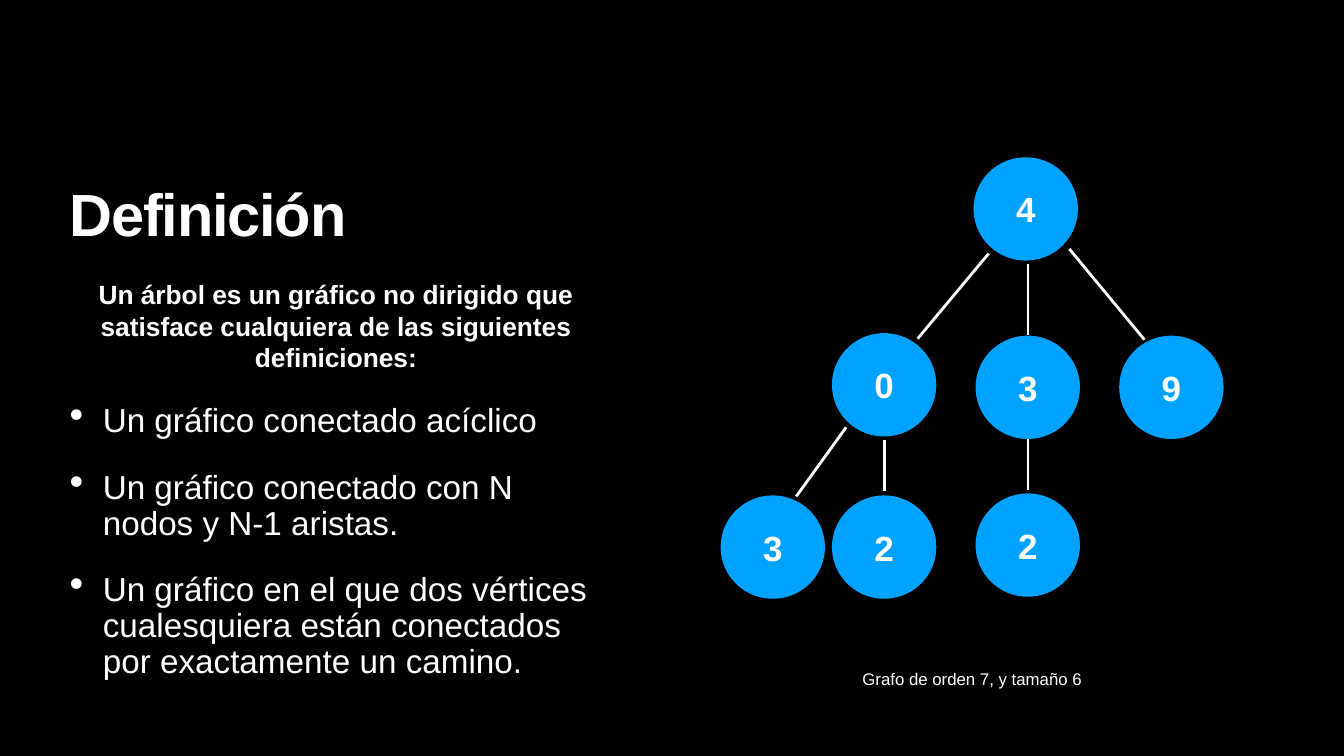
from lxml import etree
from pptx import Presentation
from pptx.dml.color import RGBColor
from pptx.enum import shapes, text
from pptx.oxml import ns
from pptx.util import Inches, Pt

BLACK = RGBColor(0x00, 0x00, 0x00)
WHITE = RGBColor(0xFF, 0xFF, 0xFF)
BLUE = RGBColor(0x00, 0xA2, 0xFF)
CENTER = text.PP_ALIGN.CENTER
TOP, MIDDLE, BOTTOM = (text.MSO_ANCHOR.TOP, text.MSO_ANCHOR.MIDDLE,
                       text.MSO_ANCHOR.BOTTOM)

TITLE = "Definición"
INTRO = ("Un árbol es un gráfico no dirigido que satisface cualquiera "
         "de las siguientes definiciones:")
DEFINITIONS = [
    "Un gráfico conectado acíclico",
    "Un gráfico conectado con N nodos y N-1 aristas.",
    "Un gráfico en el que dos vértices cualesquiera están conectados "
    "por exactamente un camino.",
]
CAPTION = "Grafo de orden 7, y tamaño 6"
NODES = [
    ("4", 19.32, 3.12),
    ("0", 16.51, 6.61),
    ("3", 19.36, 6.66),
    ("9", 22.21, 6.66),
    ("3", 14.3, 9.83),
    ("2", 16.51, 9.83),
    ("2", 19.36, 9.79),
]
EDGES = [
    (18.21, 6.72, 19.62, 5.03),
    (20.4, 6.64, 20.4, 5.23),
    (22.71, 6.74, 21.22, 4.94),
    (15.8, 9.85, 16.79, 8.48),
    (17.55, 9.75, 17.55, 8.74),
    (20.4, 9.72, 20.4, 8.7),
]
NODE_W, NODE_H = 2.07, 2.05
LEFT, COLUMN_W = 1.32, 10.69


def write(tf, content, size, bold=False, align=None, line=None, before=0,
          spacing=None, bullet=False):
    p = tf.paragraphs[0]
    if p.runs:
        p = tf.add_paragraph()
    p.alignment = align or text.PP_ALIGN.LEFT
    p.line_spacing = line
    p.space_before = Pt(before)
    r = p.add_run()
    r.text = content
    r.font.name = "Arial"
    r.font.size = Pt(size)
    r.font.bold = bold
    r.font.color.rgb = WHITE
    if spacing:
        r.font._element.set("spc", str(spacing))
    if bullet:
        pr = p._p.get_or_add_pPr()
        indent = Inches(0.66)
        pr.set("marL", str(indent))
        pr.set("indent", str(-indent))
        etree.SubElement(pr, ns.qn("a:buSzPct")).set("val", "123000")
        etree.SubElement(pr, ns.qn("a:buChar")).set("char", "•")


def frame(sp, anchor, wrap=True):
    tf = sp.text_frame
    tf.word_wrap = wrap
    tf.vertical_anchor = anchor
    tf.margin_left = tf.margin_right = Inches(0.06)
    tf.margin_top = tf.margin_bottom = Inches(0.06)
    return tf


def text_box(s, x, y, w, h, anchor, wrap=True):
    sp = s.shapes.add_textbox(Inches(x), Inches(y), Inches(w), Inches(h))
    return frame(sp, anchor, wrap)


def add_node(s, label, x, y):
    sp = s.shapes.add_shape(shapes.MSO_SHAPE.OVAL, Inches(x), Inches(y),
                            Inches(NODE_W), Inches(NODE_H))
    sp.shadow.inherit = False
    sp.fill.solid()
    sp.fill.fore_color.rgb = BLUE
    sp.line.fill.background()
    write(frame(sp, MIDDLE), label, 50, bold=True, align=CENTER)


def add_edge(s, *ends):
    edge = s.shapes.add_connector(shapes.MSO_CONNECTOR.STRAIGHT,
                                  *[Inches(v) for v in ends])
    edge.line.color.rgb = WHITE
    edge.line.width = Pt(4)
    etree.SubElement(edge._element.spPr, ns.qn("a:effectLst"))


def main():
    prs = Presentation()
    prs.slide_width, prs.slide_height = Inches(26.67), Inches(15)
    s = prs.slides.add_slide(prs.slide_layouts[6])
    s.background.fill.solid()
    s.background.fill.fore_color.rgb = BLACK

    title = text_box(s, LEFT, 1.39, COLUMN_W, 3.58, BOTTOM)
    write(title, TITLE, 85, bold=True, line=0.8, spacing=-170)

    body = text_box(s, LEFT, 5.46, COLUMN_W, 8.15, TOP)
    write(body, INTRO, 37.6, bold=True, align=CENTER)
    for definition in DEFINITIONS:
        write(body, definition, 47.5, line=0.9, before=44, bullet=True)

    for edge in EDGES:
        add_edge(s, *edge)
    for node in NODES:
        add_node(s, *node)

    caption = text_box(s, 16.99, 13.21, 4.6, 0.5, MIDDLE, wrap=False)
    write(caption, CAPTION, 24, align=CENTER)
    prs.save("out.pptx")


if __name__ == "__main__":
    main()
